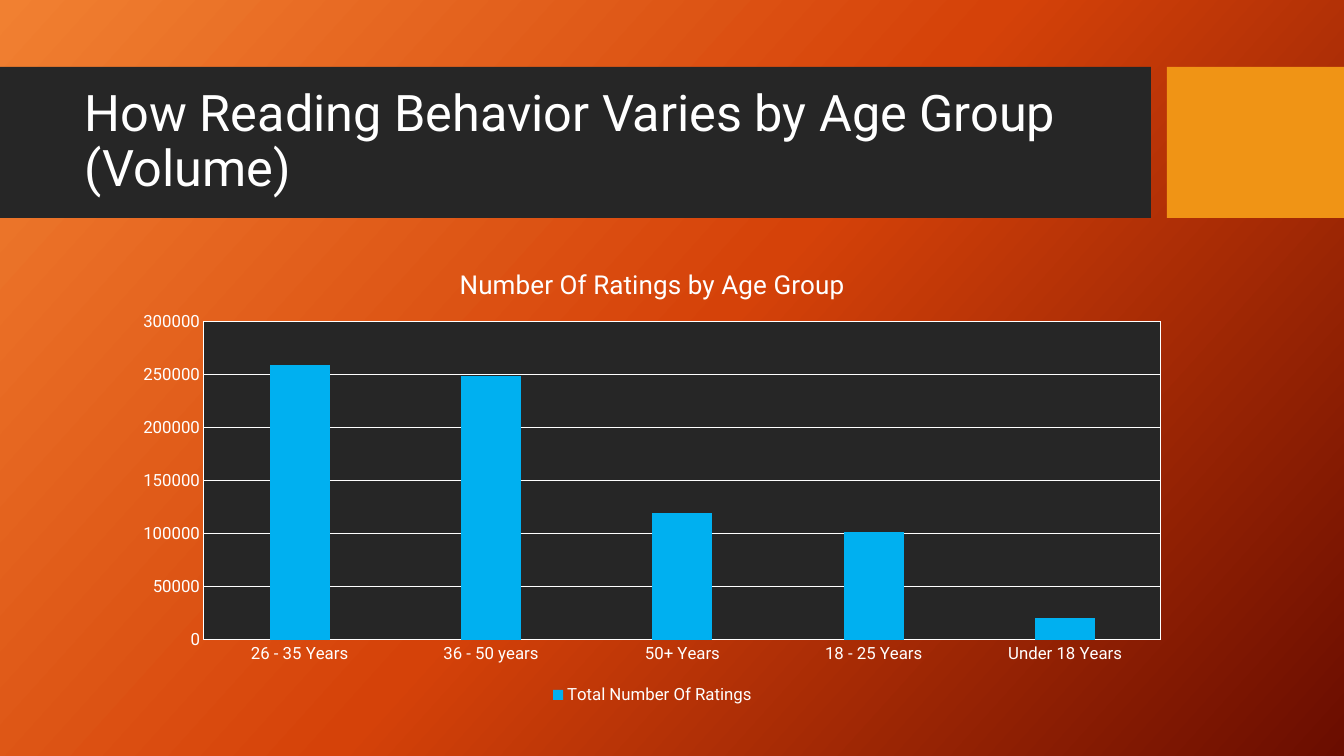
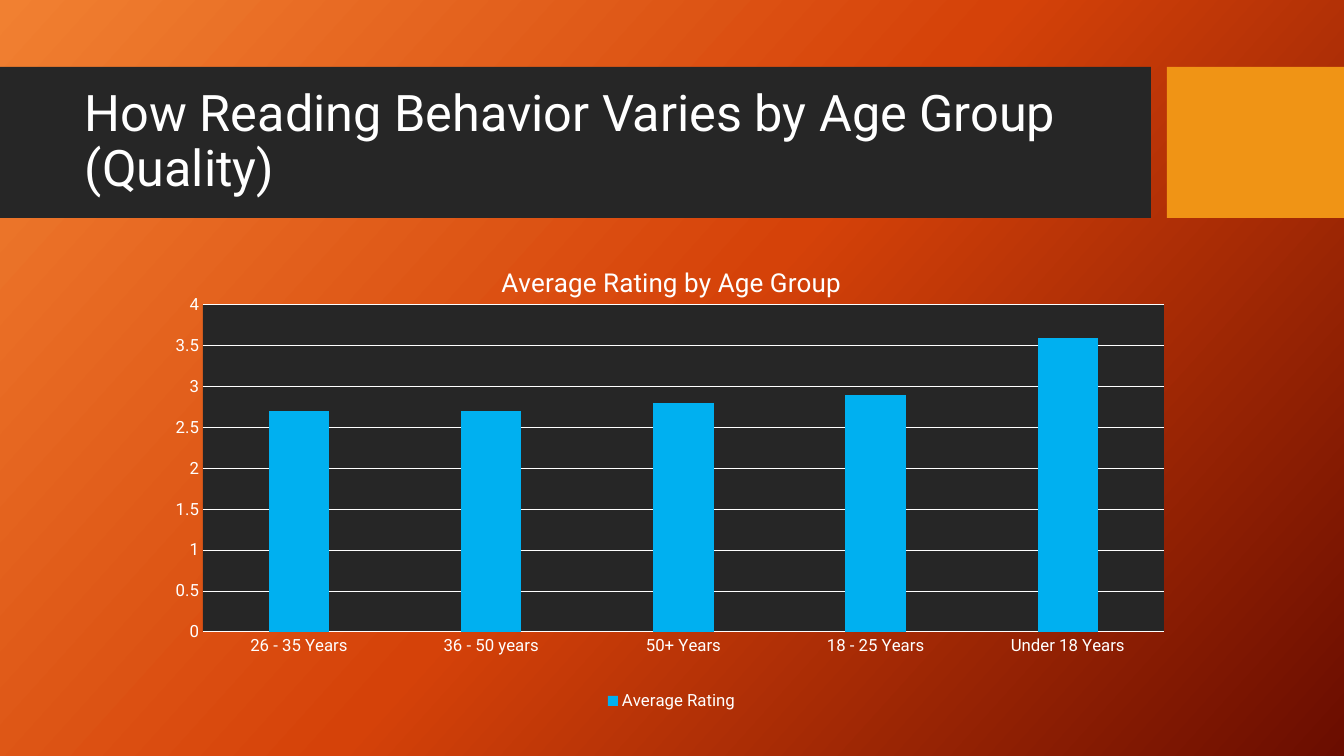
from lxml.etree import SubElement as Sub
from pptx import Presentation as Deck
from pptx.chart.data import CategoryChartData as Data
from pptx.dml.color import RGBColor as RGB
from pptx.enum.chart import XL_CHART_TYPE as Kind, XL_LEGEND_POSITION as Spot
from pptx.enum.chart import XL_TICK_MARK as Tick
from pptx.enum.shapes import MSO_SHAPE as Form
from pptx.enum.text import MSO_ANCHOR as Anchor
from pptx.oxml import parse_xml
from pptx.oxml.ns import nsdecls, qn
from pptx.util import Pt

# Shared style
WIDE, HIGH = 1344, 756
FONT = "Roboto"
WHITE = RGB(0xFF, 0xFF, 0xFF)
DARK = RGB(0x26, 0x26, 0x26)
AMBER = RGB(0xF0, 0x94, 0x15)
BLUE = RGB(0x00, 0xB0, 0xF0)
FADE = [(0, RGB(0xF1, 0x80, 0x31)), (50, RGB(0xD5, 0x42, 0x09)),
        (100, RGB(0x6A, 0x0D, 0x00))]
ANGLE = 42
AGES = ["26 - 35 Years", "36 - 50 years", "50+ Years", "18 - 25 Years",
        "Under 18 Years"]


def px(num):
    return round(num * 12192000 / WIDE)


class Show:
    """Holds the deck, its style and the current slide."""

    def __init__(self):
        self.deck = Deck()
        self.deck.slide_width, self.deck.slide_height = px(WIDE), px(HIGH)
        self.slide = None
        self.fade()

    def fade(self):
        """Gradient behind every slide, set on the master."""
        fill = self.deck.slide_master.background.fill
        fill.gradient()
        fill.gradient_angle = 360 - ANGLE
        stops = "".join(
            f'<a:gs pos="{pos * 1000}"><a:srgbClr val="{tint}"/></a:gs>'
            for pos, tint in FADE)
        new = parse_xml(f"<a:gsLst {nsdecls('a')}>{stops}</a:gsLst>")
        root = self.deck.slide_master.element
        old = next(root.find(qn("p:cSld")).iter(qn("a:gsLst")))
        old.getparent().replace(old, new)

    def page(self, *lines):
        """New slide with the title band."""
        self.slide = self.deck.slides.add_slide(self.deck.slide_layouts[6])
        self.band(0, 67, 1151, 151, DARK)
        self.band(1167, 67, 177, 151, AMBER)
        self.title(75, 83, 1059, 119, lines)

    def band(self, x, y, w, h, tint):
        box = self.slide.shapes.add_shape(
            Form.RECTANGLE, px(x), px(y), px(w), px(h))
        box.shadow.inherit = False
        box.fill.solid()
        box.fill.fore_color.rgb = tint
        box.line.fill.background()

    def font(self, font, size):
        font.name, font.size, font.bold = FONT, Pt(size), False
        font.color.rgb = WHITE

    def title(self, x, y, w, h, lines):
        box = self.slide.shapes.add_textbox(px(x), px(y), px(w), px(h))
        frame = box.text_frame
        frame.word_wrap = True
        frame.vertical_anchor = Anchor.MIDDLE
        para = frame.paragraphs[0]
        para.line_spacing = 0.9
        for num, line in enumerate(lines):
            if num:
                para.add_line_break()
            run = para.add_run()
            run.text = line
            self.font(run.font, 36)

    def chart(self, area, plot, head, name, vals, top, step, frame=False):
        """Column chart; area and plot are x, y, w, h on the slide."""
        data = Data()
        data.categories = AGES
        data.add_series(name, vals)
        chart = self.slide.shapes.add_chart(
            Kind.COLUMN_CLUSTERED, *map(px, area), data).chart
        self.font(chart.font, 12)

        # Heading and legend
        run = chart.chart_title.text_frame.paragraphs[0].add_run()
        run.text = head
        self.font(run.font, 18.6)
        chart.chart_title.include_in_layout = False
        chart.has_legend = True
        chart.legend.position = Spot.BOTTOM
        chart.legend.include_in_layout = False
        self.font(chart.legend.font, 12)

        # Axes
        cat, val = chart.category_axis, chart.value_axis
        for axis in (cat, val):
            axis.major_tick_mark = axis.minor_tick_mark = Tick.NONE
            self.font(axis.tick_labels.font, 12)
        val.minimum_scale, val.maximum_scale, val.major_unit = 0, top, step
        val.format.line.fill.background()
        for line in (cat.format.line, val.major_gridlines.format.line):
            line.color.rgb, line.width = WHITE, Pt(0.75)

        # Columns
        bars = chart.plots[0]
        bars.gap_width, bars.overlap = 219, -27
        bars.vary_by_categories = False
        fill = bars.series[0].format.fill
        fill.solid()
        fill.fore_color.rgb = BLUE
        self.inner(chart, area, plot, frame)

    def inner(self, chart, area, plot, frame):
        """Place and fill the plot area."""
        root = chart.element.find(qn("c:chart")).find(qn("c:plotArea"))
        for old in root.findall(qn("c:layout")):
            root.remove(old)
        x, y, w, h = area
        left, high, wide, tall = plot
        spot = parse_xml(f"<c:layout {nsdecls('c')}/>")
        root.insert(0, spot)
        hand = Sub(spot, qn("c:manualLayout"))
        for tag, val in [("layoutTarget", "inner"), ("xMode", "edge"),
                         ("yMode", "edge"), ("x", (left - x) / w),
                         ("y", (high - y) / h), ("w", wide / w),
                         ("h", tall / h)]:
            Sub(hand, qn(f"c:{tag}")).set("val", str(val))
        paint = f'<a:solidFill><a:srgbClr val="{DARK}"/></a:solidFill>'
        edge = (f'<a:solidFill><a:srgbClr val="{WHITE}"/></a:solidFill>'
                if frame else "<a:noFill/>")
        root.append(parse_xml(
            f"<c:spPr {nsdecls('c', 'a')}>{paint}"
            f'<a:ln w="9525">{edge}</a:ln></c:spPr>'))


def main():
    show = Show()

    # Volume
    show.page("How Reading Behavior Varies by Age Group", "(Volume)")
    show.chart((123, 248, 1059, 461), (204, 322, 957, 318),
               "Number Of Ratings by Age Group", "Total Number Of Ratings",
               [259000, 249000, 120000, 102000, 21000], 300000, 50000,
               frame=True)

    # Quality
    show.page("How Reading Behavior Varies by Age Group", "(Quality)")
    show.chart((142, 246, 1059, 469), (203, 305, 961, 327),
               "Average Rating by Age Group", "Average Rating",
               [2.7, 2.7, 2.8, 2.9, 3.6], 4, 0.5)

    show.deck.save("out.pptx")


if __name__ == "__main__":
    main()
